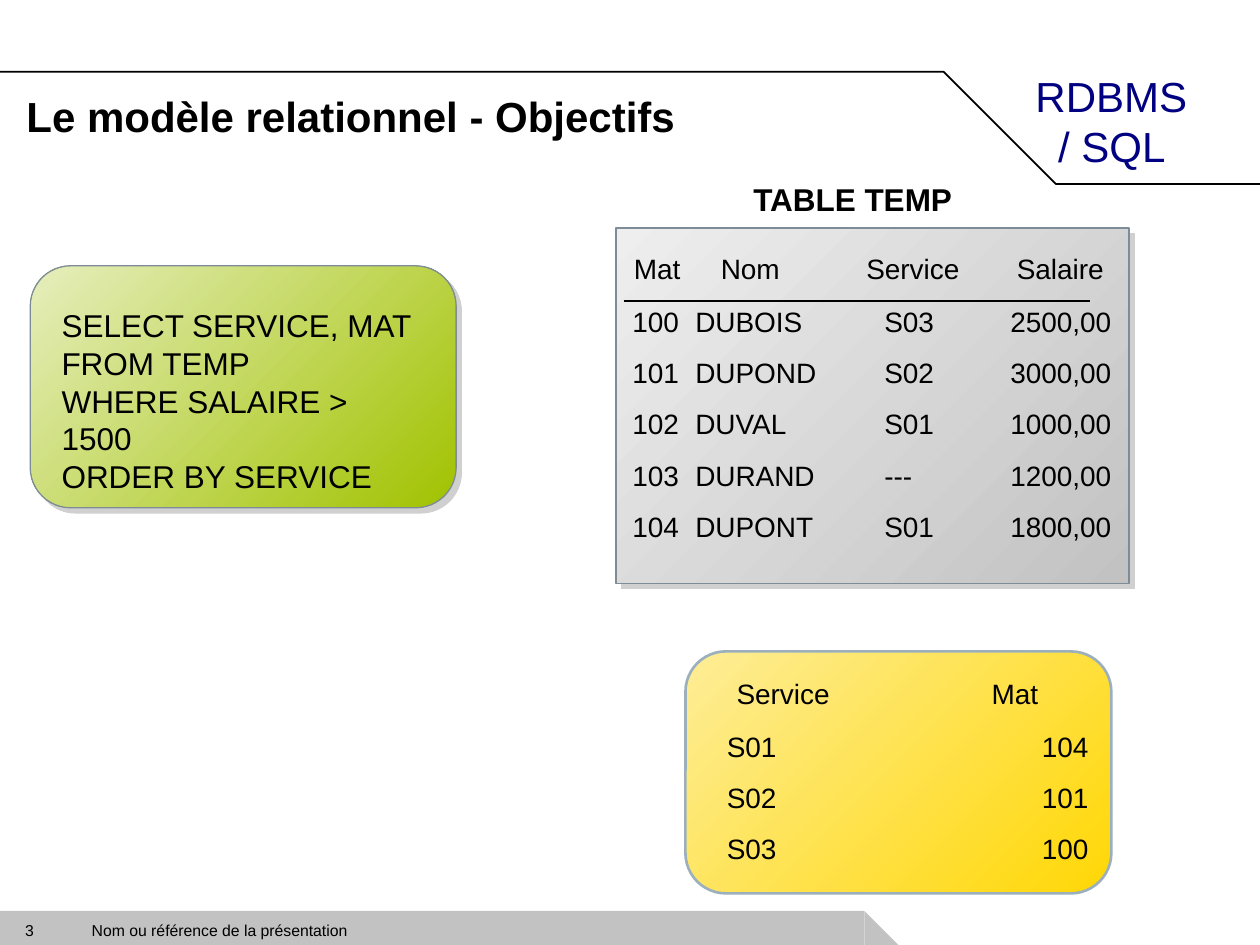
from dataclasses import dataclass

from lxml import etree
from pptx import Presentation
from pptx import util as u
from pptx.dml.color import RGBColor
from pptx.enum import shapes, text
from pptx.oxml import ns

KIND = shapes.MSO_SHAPE
SIDE = text.PP_ALIGN
MID = text.MSO_ANCHOR.MIDDLE


@dataclass(frozen=True)
class Theme:
    """Colours, font and type sizes of the slide."""
    face: str = "Arial"
    ink: str = "000000"
    navy: str = "000080"
    paper: str = "FFFFFF"
    bar: str = "C2C2C2"
    shade: str = "D0D0D0"
    edge: str = "7D8C96"
    rim: str = "9BB0BC"
    green: tuple = ("A1C200", "E6EEBD")
    grey: tuple = ("C2C2C2", "EEEEEE")
    gold: tuple = ("FFD705", "FEED97")
    head: int = 24
    body: int = 18
    cell: int = 16
    foot: int = 9


T = Theme()


def tint(code):
    """Return the colour for a hex code."""
    return RGBColor.from_string(code)


def node(parent, tag, **attrs):
    """Append a drawing element to its parent."""
    return etree.SubElement(parent, ns.qn("a:" + tag), attrs)


def place(box):
    """Turn a box in inches into lengths."""
    return [u.Inches(n) for n in box]


def write(slide, box, lines, size, color=T.ink, bold=False, inset=(0.1, 0.05),
          wrap=True, align=SIDE.LEFT, anchor=text.MSO_ANCHOR.TOP,
          gap=0, tabs=(), start=None):
    """Place lines of text in a box, with optional tab stops and numbering."""
    frame = slide.shapes.add_textbox(*place(box)).text_frame
    frame.word_wrap, frame.vertical_anchor = wrap, anchor
    frame.margin_left = frame.margin_right = u.Inches(inset[0])
    frame.margin_top = frame.margin_bottom = u.Inches(inset[1])
    for i, line in enumerate(lines):
        para = frame.paragraphs[0] if i == 0 else frame.add_paragraph()
        para.text, para.alignment = line, align
        if i and gap:
            para.space_before = u.Pt(gap)
        props = para._p.get_or_add_pPr()
        if start is not None:
            props.set("marL", str(u.Inches(0.5)))
            props.set("indent", str(u.Inches(-0.5)))
            node(node(props, "buClr"), "srgbClr", val=color)
            node(props, "buFont", typeface=T.face)
            node(props, "buAutoNum", type="arabicPlain", startAt=str(start))
        if tabs:
            stops = node(props, "tabLst")
            for stop in tabs:
                node(stops, "tab", pos=str(u.Inches(stop)), algn="l")
        font = para.font
        font.name, font.size, font.bold = T.face, u.Pt(size), bold
        font.color.rgb = tint(color)
    return frame


def panel(slide, kind, box, blend, edge, width, shade=True):
    """Draw a gradient panel, with a cast shadow if wanted."""
    shape = slide.shapes.add_shape(kind, *place(box))
    shape.fill.gradient()
    shape.fill.gradient_angle = 135
    for stop, code in zip(shape.fill.gradient_stops, blend):
        stop.color.rgb = tint(code)
    shape.line.color.rgb, shape.line.width = tint(edge), u.Pt(width)
    shape.shadow.inherit = False
    if shade:
        cast = node(shape._element.spPr.find(ns.qn("a:effectLst")), "outerShdw",
                    dist=str(u.Pt(4.2)), dir="2700000", algn="tl",
                    rotWithShape="0")
        node(cast, "srgbClr", val=T.shade)


def labels(slide, top, heads):
    """Centre each column head in a box of fixed width."""
    for left, name in heads:
        write(slide, (left, top, 1.39, 0.27), [name], T.cell,
              inset=(0, 0), align=SIDE.CENTER)


def header(slide, box):
    """Draw the stepped rule, the course name and the title."""
    x, y, w, h = box
    pen = slide.shapes.build_freeform(u.Inches(x), u.Inches(y))
    ends = [(x + 7.49, y), (x + 8.38, y + h), (x + w, y + h)]
    pen.add_line_segments([place(end) for end in ends], close=False)
    rule = pen.convert_to_shape()
    rule.fill.background()
    rule.line.color.rgb, rule.line.width = tint(T.ink), u.Pt(1)
    rule.shadow.inherit = False
    name = write(slide, (x + 8.12, y - 0.06, 1.77, 0.9), ["RDBMS", "/ SQL"],
                 T.head, T.navy, anchor=MID)
    name.paragraphs[1]._p.pPr.set("marL", str(u.Inches(0.18)))
    write(slide, (x + 0.21, y + 0.15, 7.34, 0.4),
          ["Le modèle relationnel - Objectifs"], T.head, bold=True,
          inset=(0, 0), anchor=MID)


def query(slide, box):
    """Show the SQL query on its green panel."""
    x, y, w, h = box
    panel(slide, KIND.ROUNDED_RECTANGLE, box, T.green, T.edge, 0.75)
    write(slide, (x + 0.15, y + 0.27, 3.09, 1.3),
          ["SELECT SERVICE, MAT", "FROM TEMP", "WHERE SALAIRE > 1500",
           "ORDER BY SERVICE"], T.body, wrap=False)


def source(slide, box):
    """Show the TEMP rows on a grey panel under their caption."""
    x, y, w, h = box
    panel(slide, KIND.RECTANGLE, box, T.grey, T.edge, 0.75)
    write(slide, (x + 0.99, y - 0.43, 1.79, 0.4), ["TABLE TEMP"], T.body,
          bold=True, wrap=False)
    labels(slide, y + 0.19, [(x - 0.37, "Mat"), (x + 0.37, "Nom"),
                             (x + 1.66, "Service"), (x + 2.83, "Salaire")])
    rule = slide.shapes.add_connector(
        shapes.MSO_CONNECTOR.STRAIGHT,
        *place((x + 0.06, y + 0.58, x + 3.76, y + 0.58)))
    rule.line.color.rgb, rule.line.width = tint(T.ink), u.Pt(0.75)
    node(rule._element.spPr, "effectLst")
    rows = [("DUBOIS", "S03", "2500,00"), ("DUPOND", "S02", "3000,00"),
            ("DUVAL", "S01", "1000,00"), ("DURAND", "---", "1200,00"),
            ("DUPONT", "S01", "1800,00")]
    write(slide, (x + 0.03, y + 0.56, 4.15, 2), ["\t".join(r) for r in rows],
          T.cell, gap=10, tabs=(2, 3), start=100)


def result(slide, box):
    """Show the rows the query returns on a gold panel."""
    x, y, w, h = box
    panel(slide, KIND.ROUNDED_RECTANGLE, box, T.gold, T.rim, 1.5, shade=False)
    labels(slide, y + 0.2, [(x + 0.08, "Service"), (x + 1.92, "Mat")])
    rows = [("S01", "104"), ("S02", "101"), ("S03", "100")]
    write(slide, (x + 0.23, y + 0.57, 3.31, 1.18), ["\t".join(r) for r in rows],
          T.cell, gap=10, tabs=(2.5,))


def footer(slide, box):
    """Draw the slanted bar with the page number and the reference."""
    x, y, w, h = box
    for kind, part in ((KIND.RECTANGLE, (x, y, w - h, h)),
                       (KIND.RIGHT_TRIANGLE, (x + w - h, y, h, h))):
        bar = slide.shapes.add_shape(kind, *place(part))
        bar.fill.solid()
        bar.fill.fore_color.rgb = tint(T.bar)
        bar.line.fill.background()
        bar.shadow.inherit = False
    write(slide, (x + 0.2, y + 0.08, 0.31, 0.15), ["3"], T.foot, inset=(0, 0))
    write(slide, (x + 0.63, y + 0.03, 4.24, 0.19),
          ["Nom ou référence de la présentation"], T.foot)


def main():
    """Build the slide and save it."""
    deck = Presentation()
    deck.slide_width, deck.slide_height = place((10, 7.5))
    slide = deck.slides.add_slide(deck.slide_layouts[6])
    slide.background.fill.solid()
    slide.background.fill.fore_color.rgb = tint(T.paper)
    header(slide, (0, 0.57, 10, 0.89))
    footer(slide, (0, 7.23, 7.13, 0.27))
    query(slide, (0.24, 2.11, 3.38, 1.92))
    source(slide, (4.89, 1.81, 4.07, 2.82))
    result(slide, (5.44, 5.17, 3.38, 1.92))
    deck.save("out.pptx")


if __name__ == "__main__":
    main()
